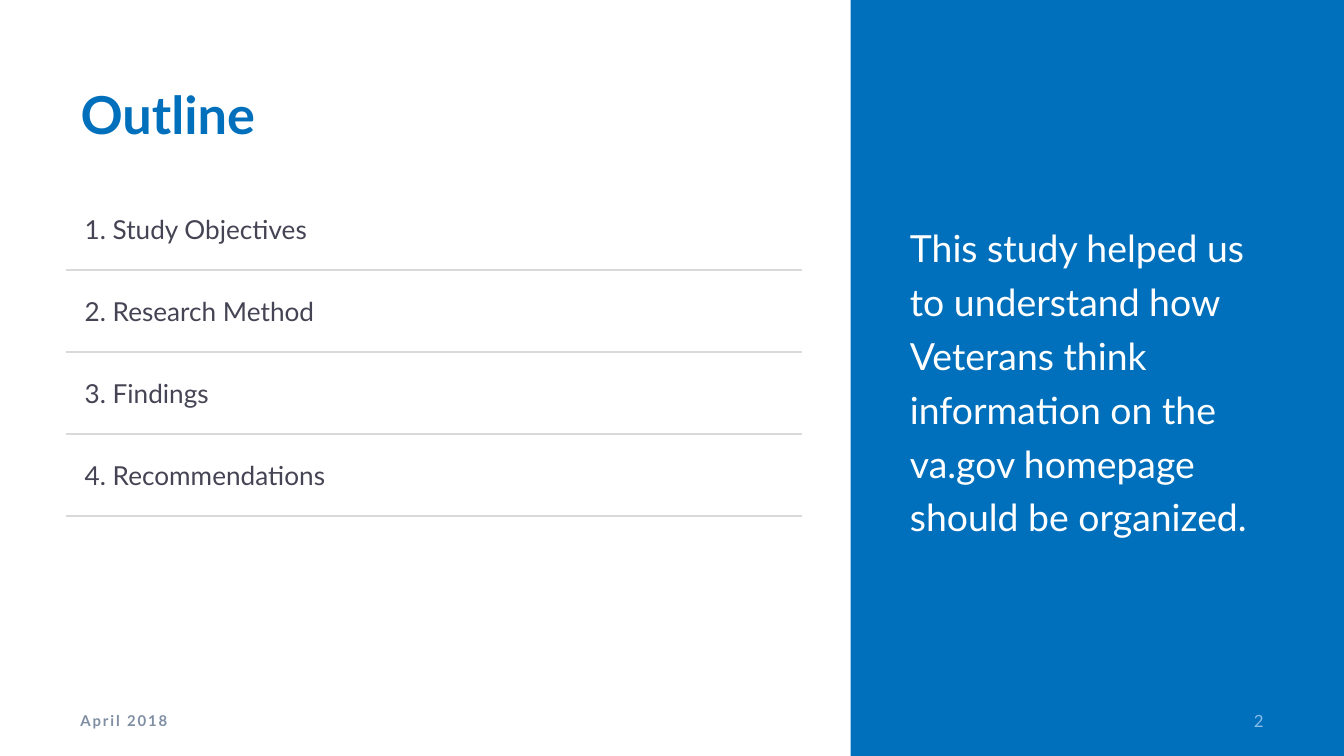
from dataclasses import dataclass

from lxml import etree
from pptx import Presentation
from pptx import util as u
from pptx.dml.color import RGBColor
from pptx.enum import shapes, text
from pptx.oxml import ns


@dataclass(frozen=True)
class Theme:
    font: str = "Lato"
    blue: str = "0070BC"
    ink: str = "454454"
    white: str = "FFFFFF"
    rule: str = "D9D9D9"
    date: str = "7F8EA3"
    number: str = "89BDE8"
    title_size: int = 28
    statement_size: int = 20
    item_size: int = 14
    number_size: int = 9
    date_size: int = 8


THEME = Theme()
SLIDE_WIDTH = 10
SLIDE_HEIGHT = SLIDE_WIDTH * 9 / 16
NO_TABLE_STYLE = "{2D5ABB26-0587-4C30-8999-92F81FD0307C}"
ITEMS = ["Study Objectives", "Research Method", "Findings", "Recommendations"]
STATEMENT = ("This study helped us to understand how Veterans think "
             "information on the va.gov homepage should be organized.")


def place(shape, left, top, width, height):
    shape.left, shape.top = u.Inches(left), u.Inches(top)
    shape.width, shape.height = u.Inches(width), u.Inches(height)


def write(frame, words, size, color, bold=False, anchor=text.MSO_ANCHOR.MIDDLE,
          align=text.PP_ALIGN.LEFT):
    """Fill a text frame with one formatted paragraph and return it."""
    frame.text = words
    frame.word_wrap = True
    frame.auto_size = text.MSO_AUTO_SIZE.NONE
    frame.vertical_anchor = anchor
    paragraph = frame.paragraphs[0]
    paragraph.alignment = align
    style(paragraph, size, color, bold)
    return paragraph


def style(paragraph, size, color, bold=False):
    font = paragraph.font
    font.name, font.size, font.bold = THEME.font, u.Pt(size), bold
    font.color.rgb = RGBColor.from_string(color)


def set_border(cell, side, color):
    line = etree.SubElement(cell._tc.get_or_add_tcPr(), ns.qn(f"a:ln{side}"),
                            w=str(u.Pt(1)))
    fill = etree.SubElement(line, ns.qn("a:solidFill"))
    etree.SubElement(fill, ns.qn("a:srgbClr"), val=color)


def add_panel(slide, left, top, width, height):
    """Blue side panel with the statement in the body placeholder."""
    panel = slide.shapes.add_shape(shapes.MSO_SHAPE.RECTANGLE, 0, 0, 0, 0)
    place(panel, left, top, width, height)
    panel.shadow.inherit = False
    panel.fill.solid()
    panel.fill.fore_color.rgb = RGBColor.from_string(THEME.blue)
    panel.line.fill.background()
    slide.shapes._spTree.insert(2, panel._element)  # behind the placeholders

    body = slide.placeholders[1]
    place(body, left + 0.34, top + 0.56, width - 0.84, height - 1.12)
    paragraph = write(body.text_frame, STATEMENT, THEME.statement_size, THEME.white)
    paragraph.line_spacing = 1.2
    paragraph.space_before, paragraph.space_after = u.Pt(0), u.Pt(6)
    properties = paragraph._p.get_or_add_pPr()
    properties.set("marL", "0")
    properties.set("indent", "0")
    bullet = etree.Element(ns.qn("a:buNone"))
    properties.find(ns.qn("a:defRPr")).addprevious(bullet)


def add_title(slide, left, top, width, height):
    place(slide.shapes.title, left, top, width, height)
    write(slide.shapes.title.text_frame, "Outline", THEME.title_size, THEME.blue,
          bold=True, anchor=text.MSO_ANCHOR.TOP)


def add_outline(slide, left, top, width, height):
    """Numbered list as a table with a rule under each row."""
    frame = slide.shapes.add_table(len(ITEMS), 2, u.Inches(left), u.Inches(top),
                                   u.Inches(width), u.Inches(height))
    table = frame.table
    table.first_row = table.horz_banding = False
    table._tbl.tblPr.find(ns.qn("a:tableStyleId")).text = NO_TABLE_STYLE
    table.columns[0].width = u.Inches(width - 1.08)
    table.columns[1].width = u.Inches(1.08)

    for index, item in enumerate(ITEMS):
        for cell in table.rows[index].cells:
            top_color = THEME.rule if index else THEME.white
            for side, color in zip("LRTB", (THEME.white, THEME.white, top_color, THEME.rule)):
                set_border(cell, side, color)
            cell.fill.background()
            cell.vertical_anchor = text.MSO_ANCHOR.MIDDLE
            cell.margin_left = cell.margin_right = u.Inches(0.13)
        label = table.cell(index, 0)
        label.text = f"{index + 1}. {item}"
        style(label.text_frame.paragraphs[0], THEME.item_size, THEME.ink)


def add_footer(slide, left, top, width, height):
    """Date at the left end, slide number at the right end."""
    date = slide.shapes.add_textbox(0, 0, 0, 0)
    place(date, left, top, 2.25, height)
    paragraph = write(date.text_frame, "April 2018", THEME.date_size, THEME.date, bold=True)
    paragraph.runs[0].font._element.set("spc", "100")

    number = slide.shapes.add_textbox(0, 0, 0, 0)
    place(number, left + width - 0.75, top, 0.75, height)
    write(number.text_frame, "2", THEME.number_size, THEME.number,
          align=text.PP_ALIGN.RIGHT)


def main():
    presentation = Presentation()
    presentation.slide_width = u.Inches(SLIDE_WIDTH)
    presentation.slide_height = u.Inches(SLIDE_HEIGHT)
    slide = presentation.slides.add_slide(presentation.slide_layouts[1])
    add_panel(slide, 6.33, 0, 3.67, SLIDE_HEIGHT)
    add_title(slide, 0.5, 0.56, 5.46, 0.71)
    add_outline(slide, 0.5, 1.4, 5.46, 2.44)
    add_footer(slide, 0.5, 5.21, 9, 0.3)
    presentation.save("out.pptx")


if __name__ == "__main__":
    main()
